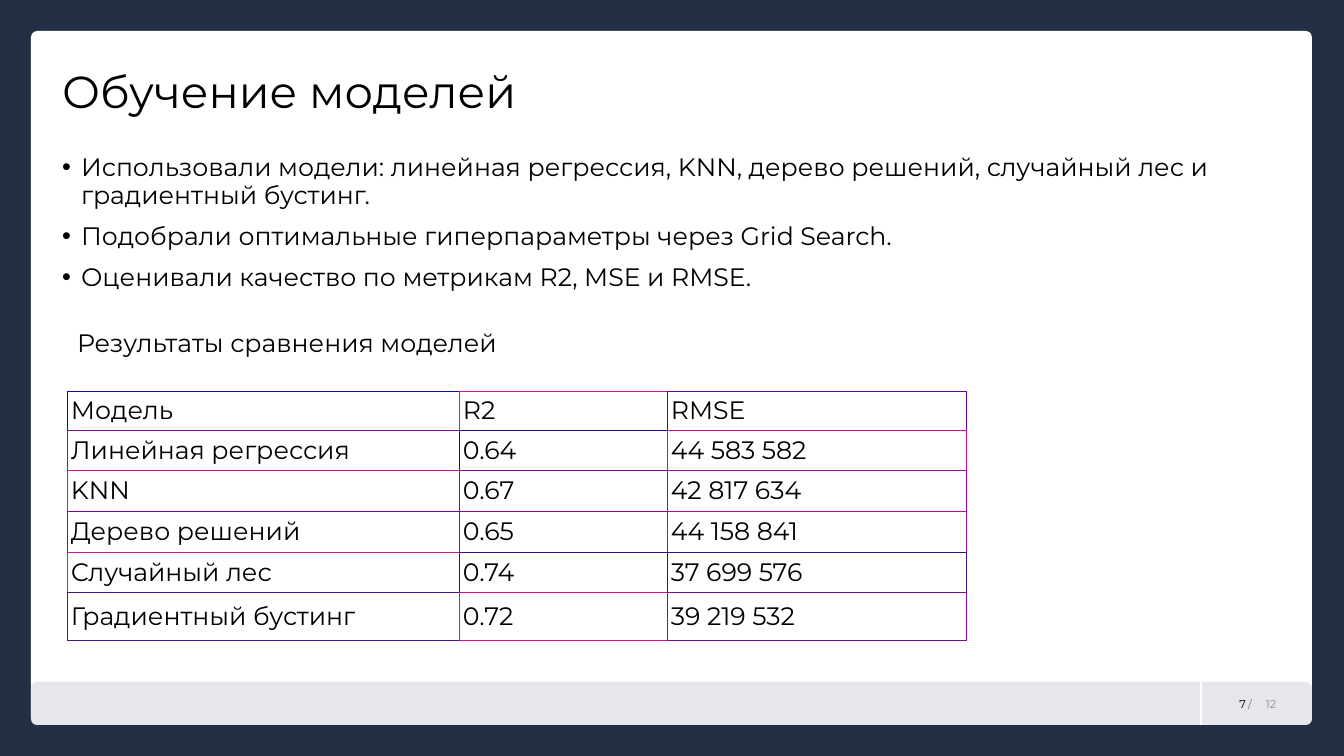
from dataclasses import dataclass

from lxml import etree
from pptx import Presentation
from pptx import util as u
from pptx.dml.color import RGBColor
from pptx.enum import shapes, text
from pptx.oxml.ns import qn

EMU_PER_PX = 12192000 / 1344


@dataclass(frozen=True)
class Theme:
    font: str = "Montserrat"
    navy: str = "232F44"
    white: str = "FFFFFF"
    footer: str = "D5D8DD"
    ink: str = "000000"
    muted: str = "8C8C8C"
    title_size: int = 32
    body_size: int = 18
    page_size: int = 8


THEME = Theme()

BULLETS = [
    "Использовали модели: линейная регрессия, KNN, дерево решений, случайный лес и градиентный бустинг.",
    "Подобрали оптимальные гиперпараметры через Grid Search.",
    "Оценивали качество по метрикам R2, MSE и RMSE.",
]
RESULTS = [
    ("Модель", "R2", "RMSE"),
    ("Линейная регрессия", "0.64", "44 583 582"),
    ("KNN", "0.67", "42 817 634"),
    ("Дерево решений", "0.65", "44 158 841"),
    ("Случайный лес", "0.74", "37 699 576"),
    ("Градиентный бустинг", "0.72", "39 219 532"),
]
CELL_COLORS = [
    ("100B9A", "E00D9A", "60019A"),
    ("900D9A", "20059A", "D0099A"),
    ("E0089A", "80049A", "A0029A"),
    ("80099A", "90089A", "B0109A"),
    ("E00D9A", "30099A", "300E9A"),
    ("50119A", "F0029A", "80099A"),
]
COLUMN_WIDTHS = (392, 208, 299)
ROW_HEIGHTS = (36, 38, 38, 38, 38, 48)


def px(length):
    return u.Emu(round(length * EMU_PER_PX))


def rgb(color):
    return RGBColor.from_string(color)


def fade(shape, percent):
    """Make every explicit colour of the shape partly opaque."""
    for color in shape.element.iter(qn("a:srgbClr")):
        etree.SubElement(color, qn("a:alpha"), val=str(percent * 1000))


def add_span(para, words, size, color=THEME.ink):
    span = para.add_run()
    span.text = words
    span.font.name = THEME.font
    span.font.size = u.Pt(size)
    span.font.color.rgb = rgb(color)


def add_panel(page, left, top, width, height, color, rounding):
    panel = page.shapes.add_shape(
        shapes.MSO_SHAPE.ROUNDED_RECTANGLE, px(left), px(top), px(width), px(height))
    panel.adjustments[0] = rounding
    panel.shadow.inherit = False
    panel.fill.solid()
    panel.fill.fore_color.rgb = rgb(color)
    panel.line.fill.background()
    return panel


def add_divider(page, x, top, bottom):
    line = page.shapes.add_connector(
        shapes.MSO_CONNECTOR.STRAIGHT, px(x), px(top), px(x), px(bottom))
    line.line.color.rgb = rgb(THEME.white)
    line.line.width = u.Pt(1.5)
    etree.SubElement(line.element.spPr, qn("a:effectLst"))


def add_page_label(page, left, top, width, height, words, color, align, inset):
    box = page.shapes.add_textbox(px(left), px(top), px(width), px(height))
    frame = box.text_frame
    frame.word_wrap = True
    frame.vertical_anchor = text.MSO_ANCHOR.MIDDLE
    frame.margin_left = frame.margin_right = px(inset)
    frame.margin_top = frame.margin_bottom = 0
    frame.paragraphs[0].alignment = align
    add_span(frame.paragraphs[0], words, THEME.page_size, color)
    return box


def set_bullet(para, bullet, indent):
    properties = para._p.get_or_add_pPr()
    properties.set("marL", str(px(indent)))
    properties.set("indent", str(px(-indent)))
    if bullet:
        etree.SubElement(properties, qn("a:buFont"), typeface="Arial")
        etree.SubElement(properties, qn("a:buChar"), char=bullet)
    else:
        etree.SubElement(properties, qn("a:buNone"))


def fill_placeholder(holder, left, top, width, height, lines, size,
                     anchor=text.MSO_ANCHOR.TOP, bullet=None, indent=0):
    """Place a placeholder above the shapes drawn so far and write its lines."""
    holder.left, holder.top = px(left), px(top)
    holder.width, holder.height = px(width), px(height)
    holder.element.getparent().append(holder.element)
    frame = holder.text_frame
    frame.word_wrap = True
    frame.auto_size = text.MSO_AUTO_SIZE.NONE
    frame.vertical_anchor = anchor
    for number, words in enumerate(lines):
        para = frame.add_paragraph() if number else frame.paragraphs[0]
        para.alignment = text.PP_ALIGN.LEFT
        para.line_spacing = 0.9
        para.space_before = u.Pt(10 if number else 0)
        set_bullet(para, bullet, indent)
        add_span(para, words, size)


def add_borders(cell, left, right, top, bottom):
    properties = cell._tc.get_or_add_tcPr()
    for side, color in zip("LRTB", (left, right, top, bottom)):
        line = etree.SubElement(properties, qn(f"a:ln{side}"), w=str(u.Pt(0.38)))
        fill = etree.SubElement(line, qn("a:solidFill"))
        etree.SubElement(fill, qn("a:srgbClr"), val=color)


def add_results_table(page, left, top):
    """Each cell owns its left and top border; the next cells colour the others."""
    last_row, last_column = len(RESULTS) - 1, len(COLUMN_WIDTHS) - 1
    table = page.shapes.add_table(
        last_row + 1, last_column + 1, px(left), px(top),
        px(sum(COLUMN_WIDTHS)), px(sum(ROW_HEIGHTS))).table
    table.first_row = table.horz_banding = False
    for column, width in zip(table.columns, COLUMN_WIDTHS):
        column.width = px(width)
    for r, values in enumerate(RESULTS):
        table.rows[r].height = px(ROW_HEIGHTS[r])
        for c, words in enumerate(values):
            cell = table.cell(r, c)
            cell.margin_left = cell.margin_right = px(4)
            cell.margin_top = cell.margin_bottom = px(5 if r else 4)
            cell.vertical_anchor = text.MSO_ANCHOR.MIDDLE if r else text.MSO_ANCHOR.TOP
            own = CELL_COLORS[r][c]
            add_borders(cell, own, CELL_COLORS[r][min(c + 1, last_column)],
                        own, CELL_COLORS[min(r + 1, last_row)][c])
            cell.fill.background()
            add_span(cell.text_frame.paragraphs[0], words, THEME.body_size)


def main():
    deck = Presentation()
    deck.slide_width, deck.slide_height = px(1344), px(756)
    page = deck.slides.add_slide(deck.slide_layouts.get_by_name("Two Content"))
    page.background.fill.solid()
    page.background.fill.fore_color.rgb = rgb(THEME.navy)
    title, bullets, caption = page.placeholders

    add_panel(page, 31, 31, 1281, 694, THEME.white, 0.009)
    fade(add_panel(page, 31, 682, 1281, 43, THEME.footer, 0.139), 60)
    left, right = text.PP_ALIGN.LEFT, text.PP_ALIGN.RIGHT
    fade(add_page_label(page, 1248, 692, 9, 24, "/", THEME.ink, left, 0), 50)
    add_divider(page, 1201, 682, 725)

    fill_placeholder(title, 52, 40, 1159, 83, ["Обучение моделей"],
                     THEME.title_size, text.MSO_ANCHOR.BOTTOM)
    add_page_label(page, 1256, 690, 50, 28, "12", THEME.muted, left, 10)
    add_page_label(page, 1214, 690, 42, 28, "7", THEME.ink, right, 10)
    fill_placeholder(bullets, 52, 150, 1204, 173, BULLETS, THEME.body_size,
                     bullet="•", indent=19)
    fill_placeholder(caption, 67, 326, 605, 39, ["Результаты сравнения моделей"],
                     THEME.body_size)
    add_results_table(page, 67, 391)
    deck.save("out.pptx")


if __name__ == "__main__":
    main()
